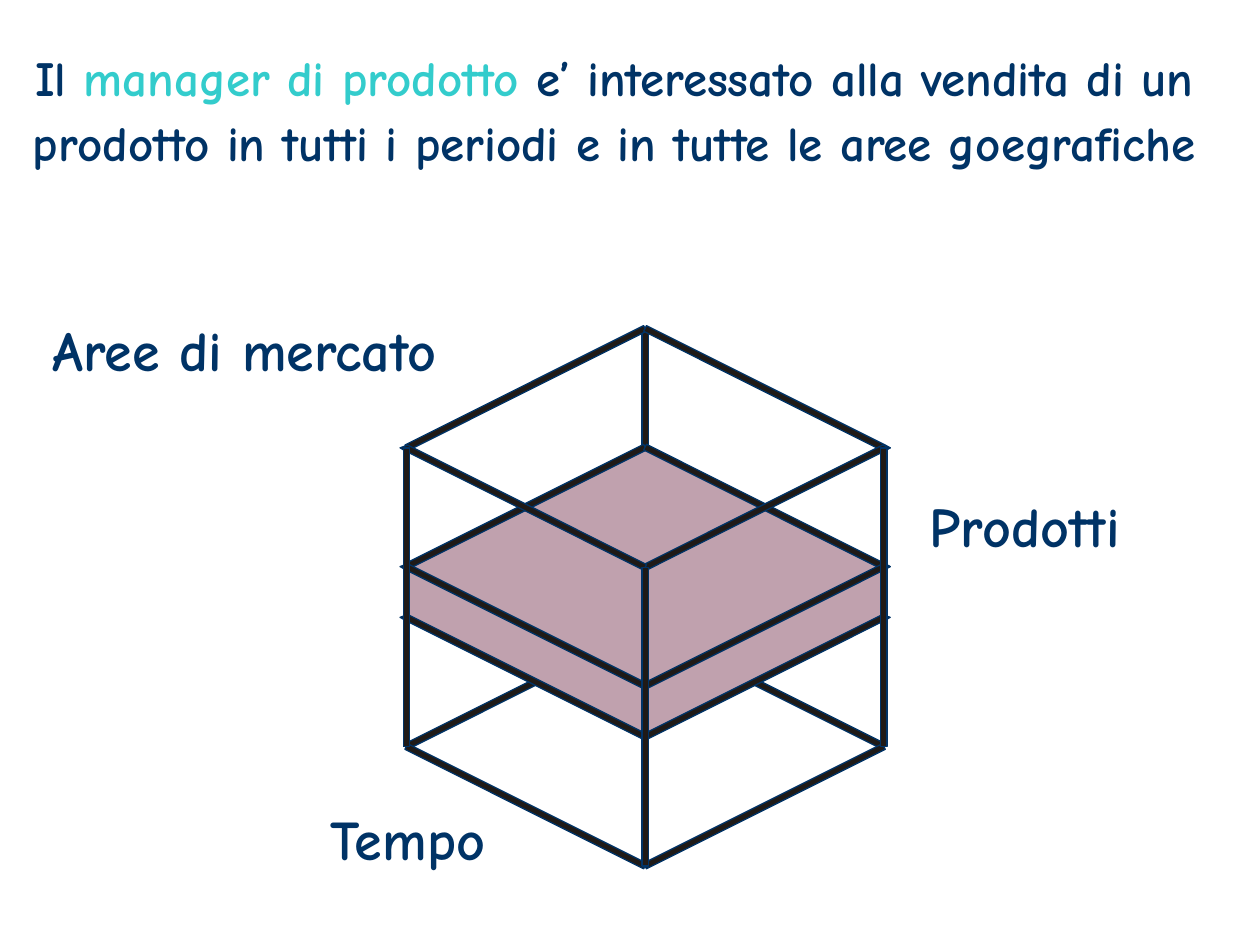
from dataclasses import dataclass
from math import hypot

from pptx import Presentation
from pptx.dml.color import RGBColor as Rgb
from pptx.enum.text import MSO_AUTO_SIZE as AutoSize, PP_ALIGN as Align
from pptx.util import Inches, Pt

# The page is a grid of 100 columns by 75 rows.
COLUMNS, ROWS = 100, 75
CELL = Inches(0.1)

# Cube geometry in grid cells; a level is the row of its west and east corners.
WEST, MIDDLE, EAST = 32.25, 51.2, 70.15
RISE = 9.48
LID, SLAB_TOP, SLAB_BOTTOM, BASE = 35.55, 44.97, 49, 59.25
HALF_BAR = 0.25
TIP = 0.5


@dataclass(frozen=True)
class Theme:
    font: str = "Comic Neue"
    ink: Rgb = Rgb(0x00, 0x33, 0x66)
    accent: Rgb = Rgb(0x33, 0xCC, 0xCC)
    bar: Rgb = Rgb(0x1F, 0x1A, 0x17)
    slab: Rgb = Rgb(0xC0, 0xA1, 0xAE)
    title_size: Pt = Pt(28)
    label_size: Pt = Pt(32)
    outline: Pt = Pt(0.75)


THEME = Theme()


def cells(*values):
    return [round(value * CELL) for value in values]


def add_text(page, place, spans, size, wrap=True):
    """Add a one-paragraph box; spans are (text, colour) pairs."""
    frame = page.shapes.add_textbox(*cells(*place)).text_frame
    frame.margin_left = frame.margin_right = 0
    frame.margin_top = frame.margin_bottom = 0
    frame.word_wrap = wrap
    frame.auto_size = AutoSize.SHAPE_TO_FIT_TEXT
    para = frame.paragraphs[0]
    para.font.name, para.font.size, para.font.bold = THEME.font, size, True
    for text, colour in spans:
        span = para.add_run()
        span.text = text
        span.font.color.rgb = colour
    return para


def add_polygon(page, points, colour):
    start, *others = [cells(*point) for point in points]
    builder = page.shapes.build_freeform(*start)
    builder.add_line_segments(others, close=True)
    shape = builder.convert_to_shape()
    shape.shadow.inherit = False
    shape.fill.solid()
    shape.fill.fore_color.rgb = colour
    shape.line.color.rgb = THEME.ink
    shape.line.width = THEME.outline


def add_bar(page, start, end, tip=0):
    """Add a thick edge; a tip moves a pointed end sideways."""
    (x1, y1), (x2, y2) = start, end
    length = hypot(x2 - x1, y2 - y1)
    dx, dy = HALF_BAR * (y1 - y2) / length, HALF_BAR * (x2 - x1) / length
    points = [(x1 + dx, y1 + dy), (x1 - dx, y1 - dy), (x2 - dx, y2 - dy)]
    if tip:
        points.append((x2 + tip, y2))
    add_polygon(page, points + [(x2 + dx, y2 + dy)], THEME.bar)


def west(level):
    return WEST, level


def east(level):
    return EAST, level


def back(level):
    return MIDDLE, level - RISE


def front(level):
    return MIDDLE, level + RISE


def add_front_edges(page, level, tip=0):
    add_bar(page, front(level), east(level), tip)
    add_bar(page, front(level), west(level), -tip)


def add_rim(page, level):
    add_bar(page, back(level), west(level))
    add_bar(page, back(level), east(level), TIP)
    add_front_edges(page, level, TIP)


def add_slab(page):
    for side in (west, east):
        corners = [side(SLAB_TOP), front(SLAB_TOP),
                   front(SLAB_BOTTOM), side(SLAB_BOTTOM)]
        add_polygon(page, corners, THEME.slab)
    top = [corner(SLAB_TOP) for corner in (west, back, east, front)]
    add_polygon(page, top, THEME.slab)
    add_rim(page, SLAB_TOP)
    add_front_edges(page, SLAB_BOTTOM, TIP)


def add_cube(page):
    for corner in (east(BASE), west(BASE), back(LID)):
        add_bar(page, back(BASE), corner)
    add_slab(page)
    add_rim(page, LID)
    add_front_edges(page, BASE)
    for corner in (west, east, front):
        add_bar(page, corner(LID), corner(BASE))


def add_title(page):
    spans = [
        ("Il ", THEME.ink),
        ("manager di prodotto", THEME.accent),
        (" e’ interessato alla vendita di un prodotto in tutti i periodi"
         " e in tutte le aree goegrafiche", THEME.ink),
    ]
    para = add_text(page, (2.5, 3.3, 92.5, 18.7), spans, THEME.title_size)
    para.alignment = Align.CENTER
    para.line_spacing = 1.1


def add_label(page, text, place, wrap=False):
    add_text(page, place, [(text, THEME.ink)], THEME.label_size, wrap)


def main():
    deck = Presentation()
    deck.slide_width, deck.slide_height = cells(COLUMNS, ROWS)
    page = deck.slides.add_slide(deck.slide_layouts[6])
    add_title(page)
    add_cube(page)
    add_label(page, "Tempo", (26.2, 63.85, 13.8, 5.3))
    add_label(page, "Prodotti", (73.8, 39, 17.2, 5.3))
    add_label(page, "Aree di mercato", (4.18, 25.05, 36.5, 5.3), wrap=True)
    deck.save("out.pptx")


if __name__ == "__main__":
    main()
